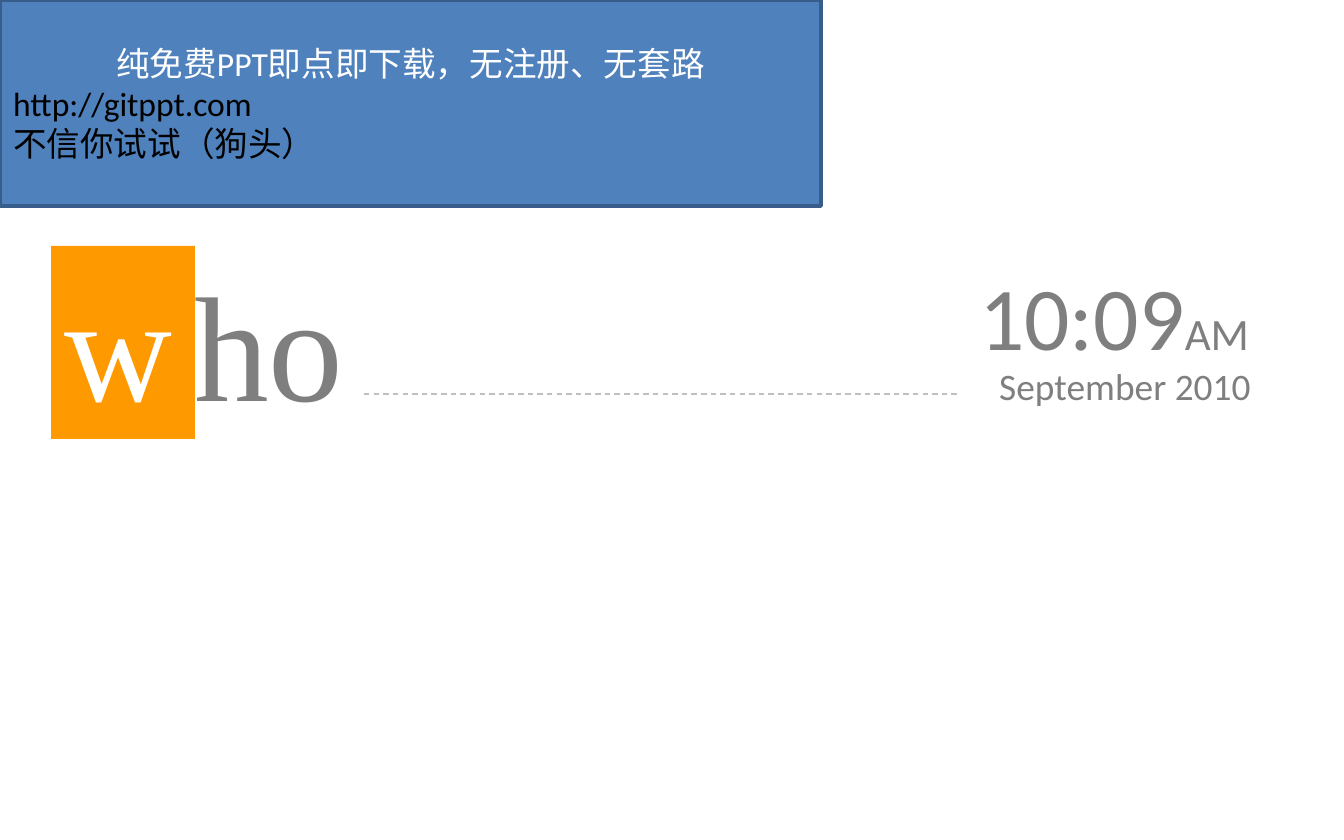
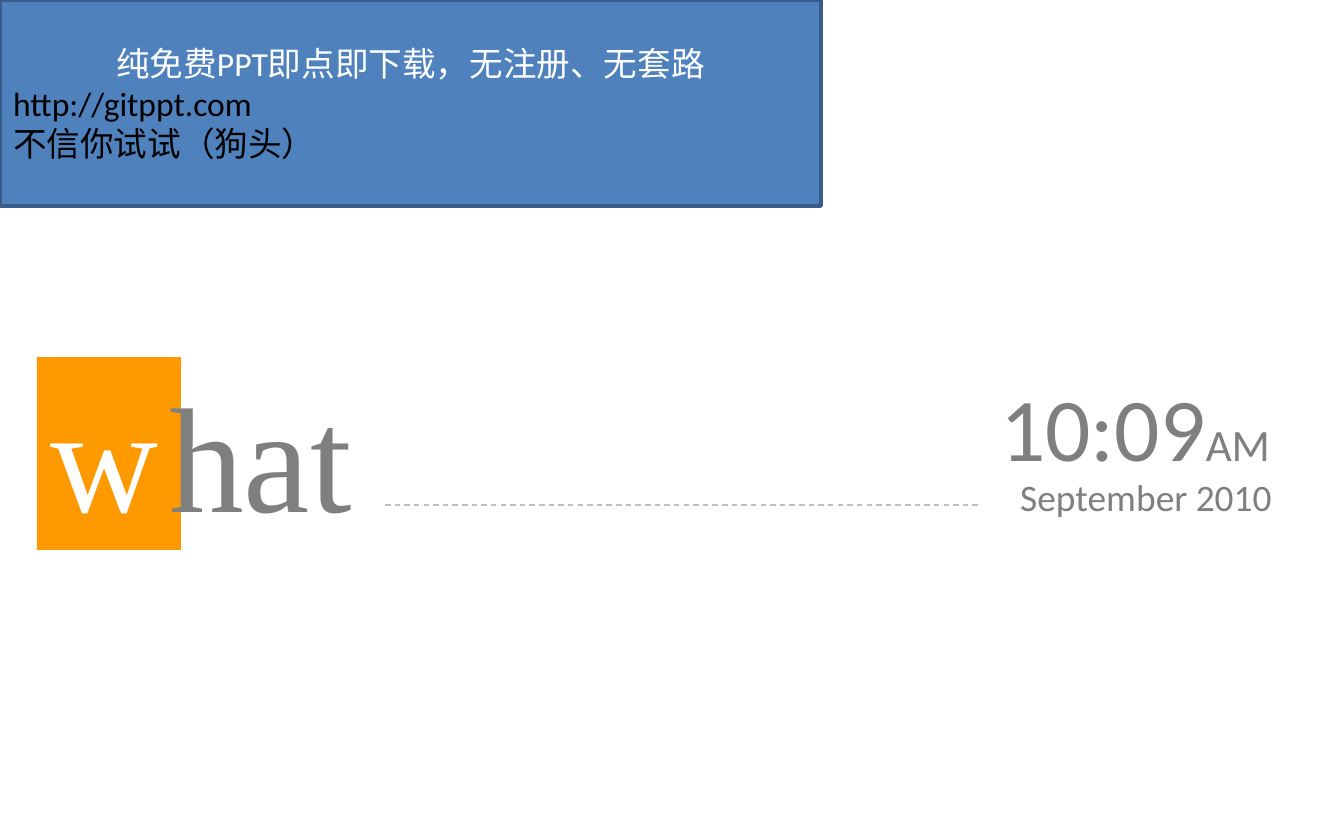
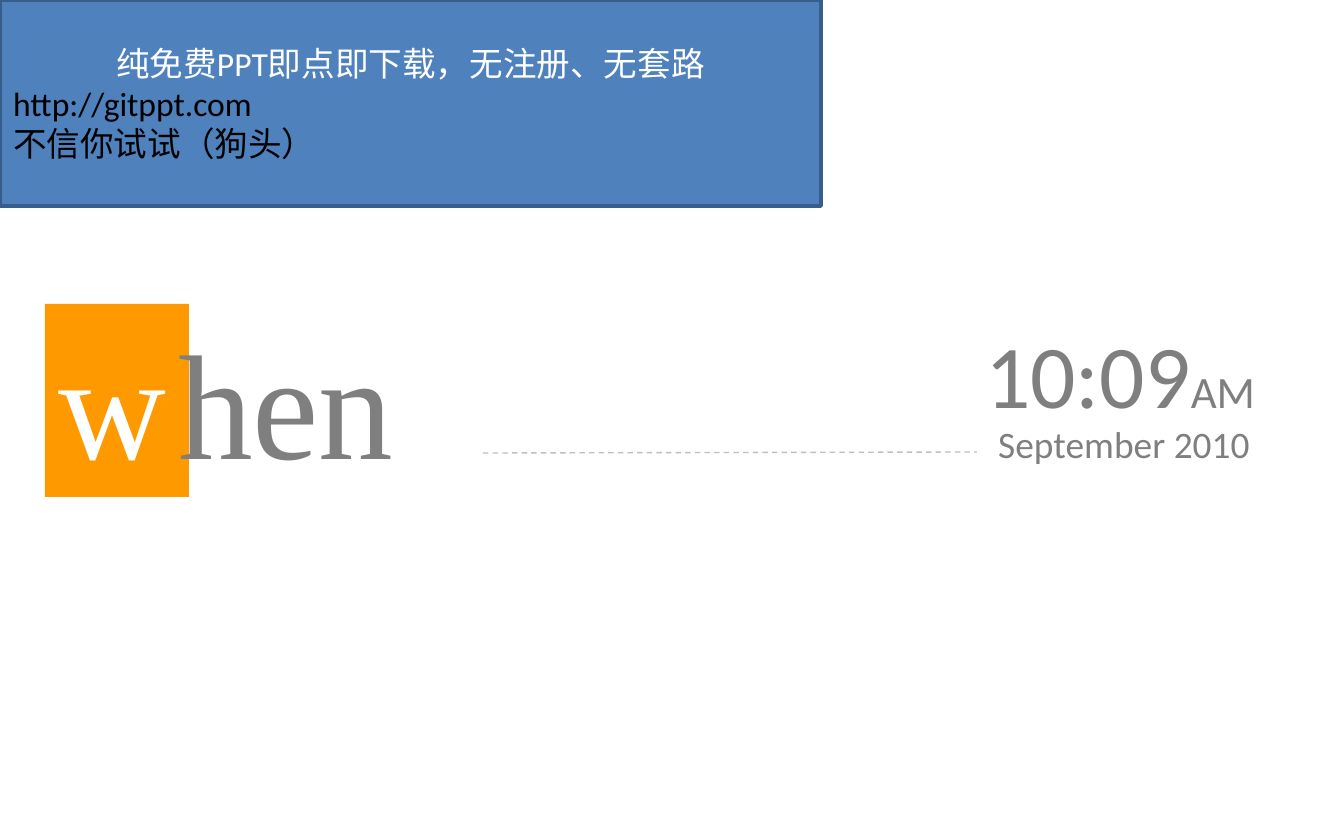
from dataclasses import dataclass

from lxml.etree import SubElement
from pptx import Presentation
from pptx.dml.color import RGBColor
from pptx.enum.dml import MSO_LINE
from pptx.enum.shapes import MSO_CONNECTOR, MSO_SHAPE
from pptx.enum.text import MSO_ANCHOR, MSO_AUTO_SIZE, PP_ALIGN
from pptx.oxml.ns import qn
from pptx.util import Pt

PX = 914400 / 134.4
COLORS = {
    "orange": "FF9900",
    "gray": "7F7F7F",
    "rule": "BFBFBF",
    "blue": "4F81BD",
    "navy": "385D8A",
    "white": "FFFFFF",
    "black": "000000",
}
SERIF, SANS = "Times New Roman", "Calibri"
TILE_W, HEADING_H = 144, 193
RULE_DY, DATE_DY, CLOCK_DY = 148, 111, 8


@dataclass(frozen=True)
class Box:
    x: int
    y: int
    w: int
    h: int

    def emu(self) -> tuple[int, ...]:
        return tuple(px(v) for v in (self.x, self.y, self.w, self.h))


@dataclass(frozen=True)
class Heading:
    """A question word with its rule, date and clock, placed from one top."""
    rest: str
    top: int
    tile_x: int
    rest_x: int
    rest_w: int
    rule_x1: int
    rule_x2: int
    date_x: int
    clock_x: int
    rule_rise: int = 0


BANNER = Box(0, 0, 821, 206)
HEADINGS = (
    Heading("ho", 246, 51, 181, 210, 364, 960, 986, 966),
    Heading("hat", 357, 37, 156, 257, 385, 981, 1007, 987),
    Heading("hen", 304, 45, 165, 296, 483, 977, 985, 972, rule_rise=1),
)


def px(n: int) -> int:
    return round(n * PX)


def rgb(name: str) -> RGBColor:
    return RGBColor.from_string(COLORS[name])


def write(p, text: str, *, size: int, color: str = "gray", font: str = SANS,
          align=PP_ALIGN.LEFT) -> None:
    p.alignment = align
    r = p.add_run()
    r.text = text
    r.font.size = Pt(size)
    r.font.name = font
    r.font.color.rgb = rgb(color)


def fit(sp, wrap: bool = False):
    """Let the shape grow with its text; return the first paragraph."""
    tf = sp.text_frame
    tf.word_wrap = wrap
    tf.auto_size = MSO_AUTO_SIZE.SHAPE_TO_FIT_TEXT
    tf.vertical_anchor = MSO_ANCHOR.TOP
    return tf.paragraphs[0]


def add_rect(s, box: Box, fill: str, line: str | None = None):
    sp = s.shapes.add_shape(MSO_SHAPE.RECTANGLE, *box.emu())
    sp.shadow.inherit = False
    sp.fill.solid()
    sp.fill.fore_color.rgb = rgb(fill)
    if line:
        sp.line.color.rgb = rgb(line)
        sp.line.width = Pt(2)
    else:
        sp.line.fill.background()
    return sp


def add_label(s, box: Box, wrap: bool = False):
    return fit(s.shapes.add_textbox(*box.emu()), wrap)


def add_rule(s, x1: int, y1: int, x2: int, y2: int) -> None:
    cx = s.shapes.add_connector(MSO_CONNECTOR.STRAIGHT, px(x1), px(y1), px(x2), px(y2))
    cx.line.color.rgb = rgb("rule")
    cx.line.width = Pt(0.75)
    cx.line.dash_style = MSO_LINE.DASH
    SubElement(cx._element.spPr, qn("a:effectLst"))


def add_heading(s, h: Heading) -> None:
    tile = add_rect(s, Box(h.tile_x, h.top, TILE_W, HEADING_H), "orange")
    write(fit(tile), "w", size=80, color="white", font=SERIF)
    rest = add_label(s, Box(h.rest_x, h.top, h.rest_w, HEADING_H))
    write(rest, h.rest, size=80, font=SERIF)

    rule_y = h.top + RULE_DY
    add_rule(s, h.rule_x1, rule_y + h.rule_rise, h.rule_x2, rule_y)

    date = add_label(s, Box(h.date_x, h.top + DATE_DY, 304, 59), wrap=True)
    write(date, "September 2010", size=20)
    clock = add_label(s, Box(h.clock_x, h.top + CLOCK_DY, 320, 121))
    write(clock, "10:09", size=48)
    write(clock, "AM", size=24)


def add_banner(s) -> None:
    tf = add_rect(s, BANNER, "blue", line="navy").text_frame
    tf.word_wrap = True
    tf.vertical_anchor = MSO_ANCHOR.MIDDLE
    write(tf.paragraphs[0], "纯免费PPT即点即下载，无注册、无套路",
          size=18, color="white", align=PP_ALIGN.CENTER)
    for text in ("http://gitppt.com", "不信你试试（狗头）"):
        write(tf.add_paragraph(), text, size=18, color="black")


def main() -> None:
    prs = Presentation()
    prs.slide_width, prs.slide_height = px(1344), px(840)
    blank = prs.slide_layouts[6]
    for heading in HEADINGS:
        s = prs.slides.add_slide(blank)
        add_heading(s, heading)
        add_banner(s)
    prs.save("out.pptx")


if __name__ == "__main__":
    main()
